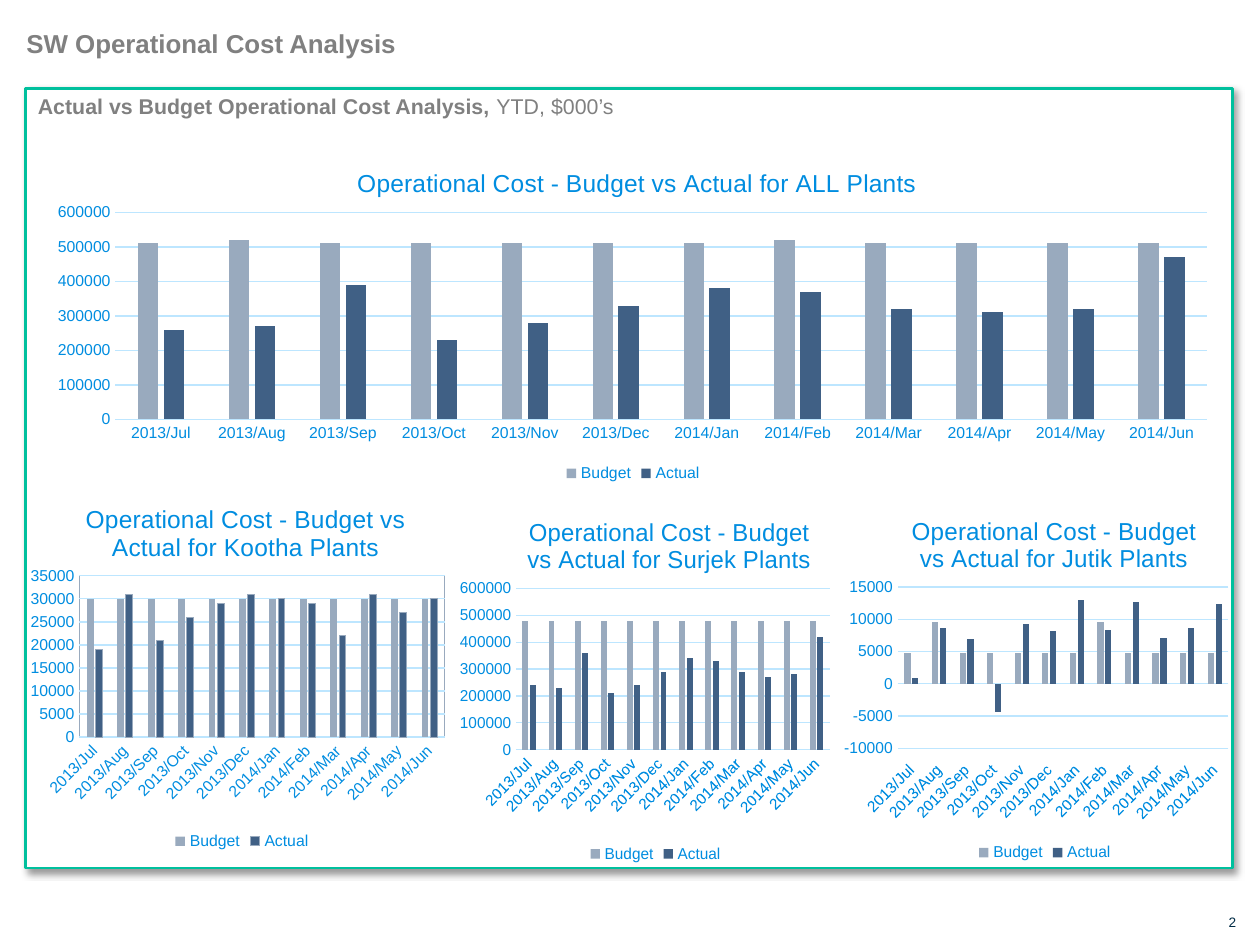
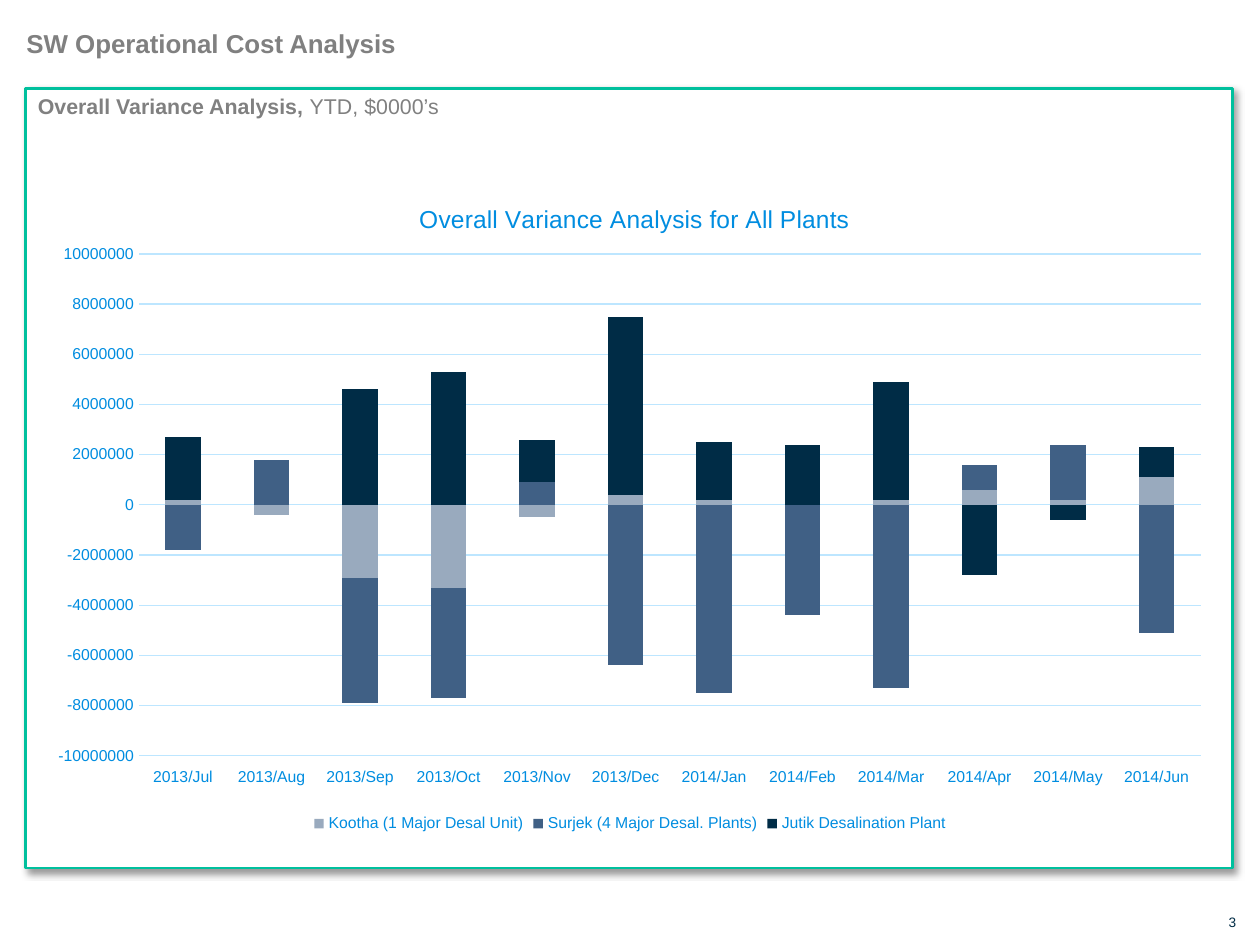
from lxml import etree
from pptx import Presentation
from pptx.chart.data import CategoryChartData
from pptx.dml.color import RGBColor
from pptx.enum.chart import (XL_CHART_TYPE, XL_LEGEND_POSITION,
                             XL_TICK_LABEL_POSITION, XL_TICK_MARK)
from pptx.enum.shapes import MSO_SHAPE
from pptx.enum.text import MSO_ANCHOR, PP_ALIGN
from pptx.oxml import parse_xml
from pptx.oxml.ns import nsdecls, qn
from pptx.util import Inches, Pt

NAVY, STEEL, MIST = "002C46", "406085", "99AABE"
BLUE, PALE, GREY, GREEN = "008DE0", "BDE6FF", "808080", "00C09D"
FONT = "Arial"
MONTHS = [f"2013/{m}" for m in "Jul Aug Sep Oct Nov Dec".split()]
MONTHS += [f"2014/{m}" for m in "Jan Feb Mar Apr May Jun".split()]
SMALL = (0.125, 0.26, 0.843, 0.427)
COST = "Operational Cost - Budget vs Actual for "


def style(font, size, color, bold=False):
    """Set face, size, colour and weight of a font."""
    font.name, font.size, font.bold = FONT, Pt(size), bold
    font.color.rgb = RGBColor.from_string(color)


def layout(**parts):
    """Return a manual chart layout element from its parts."""
    items = "".join(f'<c:{k} val="{v}"/>' for k, v in parts.items())
    return parse_xml(f'<c:layout {nsdecls("c")}><c:manualLayout>{items}'
                     '</c:manualLayout></c:layout>')


# Box in inches, title, title left share, plot shares, axis (min, max, step),
# and series; values are in thousands
slides = [
    ("Actual vs Budget Operational Cost Analysis, ", "YTD, $000’s", [
        dict(box=(0.27, 1.13, 9.51, 2.74), title=COST + "ALL Plants",
             left=0.266, plot=(0.068, 0.203, 0.911, 0.6), axis=(0, 600, 100),
             data={"Budget": [510, 520] + [510] * 5 + [520] + [510] * 4,
                   "Actual": [260, 270, 390, 230, 280, 330,
                              380, 370, 320, 310, 320, 470]}),
        dict(box=(0.2, 3.79, 3.44, 3), title=COST + "Kootha Plants",
             left=0.129, plot=SMALL, axis=(0, 35, 5), edge=True,
             data={"Budget": [30] * 12,
                   "Actual": [19, 31, 21, 26, 29, 31,
                              30, 29, 22, 31, 27, 30]}),
        dict(box=(3.65, 3.89, 3.03, 3), title=COST + "Surjek Plants",
             left=0.144, plot=SMALL, axis=(0, 600, 100),
             data={"Budget": [480] * 12,
                   "Actual": [240, 230, 360, 210, 240, 290,
                              340, 330, 290, 270, 280, 420]}),
        dict(box=(6.7, 3.88, 3.15, 3), title=COST + "Jutik Plants",
             left=0.149, plot=SMALL, axis=(-10, 15, 5),
             data={"Budget": [4.8, 9.6] + [4.8] * 5 + [9.6] + [4.8] * 4,
                   "Actual": [0.9, 8.6, 7, -4.3, 9.3, 8.2,
                              13, 8.3, 12.7, 7.1, 8.7, 12.4]}),
    ]),
    ("Overall Variance Analysis, ", "YTD, $0000’s", [
        dict(box=(0.28, 1.36, 9.44, 5.29), left=0.319, stacked=True,
             title="Overall Variance Analysis for All Plants",
             plot=(0.087, 0.124, 0.893, 0.753), axis=(-10000, 10000, 2000),
             data={"Kootha (1 Major Desal Unit)":
                   [200, -400, -2900, -3300, -500, 400,
                    200, 0, 200, 600, 200, 1100],
                   "Surjek (4 Major Desal. Plants)":
                   [-1800, 1800, -5000, -4400, 900, -6400,
                    -7500, -4400, -7300, 1000, 2200, -5100],
                   "Jutik Desalination Plant":
                   [2500, 0, 4600, 5300, 1700, 7100,
                    2300, 2400, 4700, -2800, -600, 1200]}),
    ]),
]

prs = Presentation()
prs.slide_width, prs.slide_height = Inches(10), Inches(7.5)

for page, (lead, unit, charts) in enumerate(slides, 2):
    slide = prs.slides.add_slide(prs.slide_layouts[5])
    shapes = slide.shapes

    # Framed panel with a soft shadow
    panel = shapes.add_shape(MSO_SHAPE.RECTANGLE, Inches(0.2), Inches(0.7),
                             Inches(9.58), Inches(6.19))
    panel.fill.solid()
    panel.fill.fore_color.rgb = RGBColor.from_string("FFFFFF")
    panel.line.color.rgb = RGBColor.from_string(GREEN)
    panel.line.width = Pt(1.5)
    panel._element.spPr.append(parse_xml(
        f'<a:effectLst {nsdecls("a")}><a:outerShdw blurRad="{Pt(4)}" '
        f'dist="{Pt(3)}" dir="2700000" algn="tl" rotWithShape="0">'
        '<a:srgbClr val="000000"><a:alpha val="40000"/></a:srgbClr>'
        '</a:outerShdw></a:effectLst>'))

    # Title, panel heading and page number
    title = shapes.title
    title.left, title.top = Inches(0.21), Inches(0.22)
    title.width, title.height = Inches(9.58), Inches(0.25)
    head = shapes.add_textbox(Inches(0.3), Inches(0.74),
                              Inches(8.08), Inches(0.21))
    num = shapes.add_textbox(Inches(9.67), Inches(7.25),
                             Inches(0.14), Inches(0.13))
    for box, text, size, color, bold, align in (
            (title, "SW Operational Cost Analysis", 14.8, GREY, True,
             PP_ALIGN.LEFT),
            (head, lead, 12.2, GREY, True, PP_ALIGN.LEFT),
            (num, str(page), 7.8, NAVY, False, PP_ALIGN.RIGHT)):
        frame = box.text_frame
        frame.margin_left = frame.margin_right = 0
        frame.margin_top = frame.margin_bottom = 0
        frame.word_wrap = True
        frame.vertical_anchor = MSO_ANCHOR.TOP
        para = frame.paragraphs[0]
        para.alignment = align
        run = para.add_run()
        run.text = text
        style(run.font, size, color, bold)
    num.text_frame.vertical_anchor = MSO_ANCHOR.MIDDLE
    run = head.text_frame.paragraphs[0].add_run()
    run.text = unit
    style(run.font, 12.2, GREY)

    for item in charts:
        stacked = item.get("stacked", False)
        data = CategoryChartData(number_format="General")
        data.categories = MONTHS
        for name, vals in item["data"].items():
            data.add_series(name, [round(v * 1000) for v in vals])
        kind = (XL_CHART_TYPE.COLUMN_STACKED if stacked
                else XL_CHART_TYPE.COLUMN_CLUSTERED)
        chart = shapes.add_chart(kind, *map(Inches, item["box"]), data).chart
        style(chart.font, 10, NAVY)

        # Chart title
        para = chart.chart_title.text_frame.paragraphs[0]
        para.text = item["title"]
        style(para.font, 14, BLUE)
        chart.chart_title.include_in_layout = False
        tag = chart.chart_title._element
        for old in tag.findall(qn("c:layout")):
            tag.remove(old)
        top = round(0.02 + 0.11 / item["box"][3], 3)
        tag.find(qn("c:tx")).addnext(
            layout(xMode="edge", yMode="edge", x=item["left"], y=top))

        # Legend
        chart.has_legend = True
        chart.legend.position = XL_LEGEND_POSITION.BOTTOM
        chart.legend.include_in_layout = False
        style(chart.legend.font, 9, BLUE)

        # Axes
        cat, val = chart.category_axis, chart.value_axis
        for axis in (cat, val):
            axis.major_tick_mark = axis.minor_tick_mark = XL_TICK_MARK.NONE
            style(axis.tick_labels.font, 9, BLUE)
        low, high, step = item["axis"]
        val.minimum_scale, val.maximum_scale = low * 1000, high * 1000
        val.major_unit = step * 1000
        val.format.line.fill.background()
        for line in (cat.format.line, val.major_gridlines.format.line):
            line.color.rgb = RGBColor.from_string(PALE)
            line.width = Pt(0.75)
        if low < 0:
            cat.tick_label_position = XL_TICK_LABEL_POSITION.LOW
        if item["plot"] is SMALL:
            body = cat._element.find(qn("c:txPr")).find(qn("a:bodyPr"))
            body.set("rot", "-2700000")

        # Columns
        plot = chart.plots[0]
        plot.vary_by_categories = False
        plot.gap_width = 150 if stacked else 219
        plot.overlap = 100 if stacked else -27
        for bar, color in zip(plot.series, (MIST, STEEL, NAVY)):
            bar.invert_if_negative = False
            bar.format.fill.solid()
            bar.format.fill.fore_color.rgb = RGBColor.from_string(color)

        # Plot area
        area = chart._chartSpace.chart.plotArea
        for old in area.findall(qn("c:layout")):
            area.remove(old)
        x, y, w, h = item["plot"]
        area.insert(0, layout(layoutTarget="inner", xMode="edge",
                              yMode="edge", x=x, y=y, w=w, h=h))
        if item.get("edge"):
            edge = plot.series[1].format.line
            edge.color.rgb = RGBColor.from_string(MIST)
            edge.width = 0
            props = etree.SubElement(area, qn("c:spPr"))
            etree.SubElement(props, qn("a:noFill"))
            rim = etree.SubElement(props, qn("a:ln"), w="0")
            fill = etree.SubElement(rim, qn("a:solidFill"))
            etree.SubElement(fill, qn("a:srgbClr"), val=MIST)

prs.save("out.pptx")
